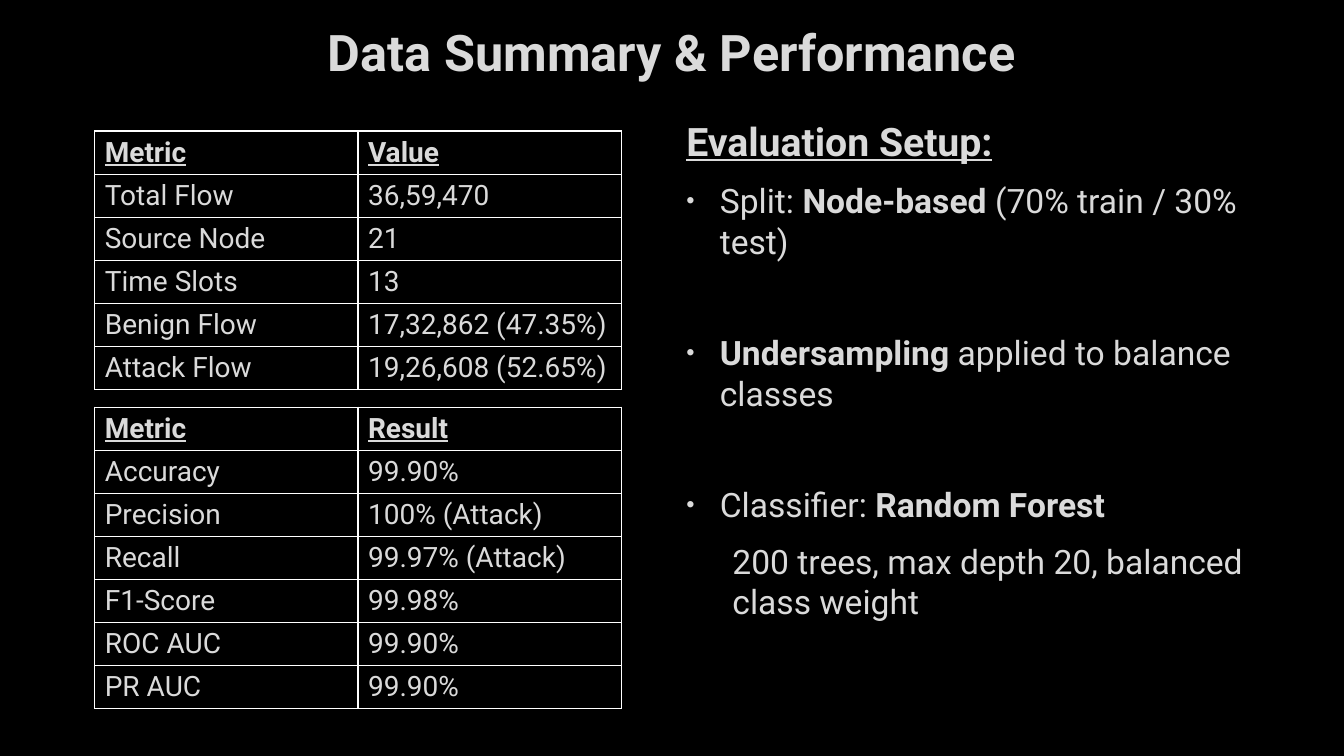
from dataclasses import dataclass
from lxml.etree import SubElement
from pptx import Presentation
from pptx.dml.color import RGBColor
from pptx.enum.text import MSO_ANCHOR, MSO_AUTO_SIZE, PP_ALIGN
from pptx.oxml.ns import qn
from pptx.util import Pt

COLORS = {"back": "000000", "text": "DADADA", "outline": "404040", "border": "FFFFFF"}
FONT = "Roboto"
ROW_HEIGHT = 30.7
COLUMN_WIDTH = 188


@dataclass
class MetricTable:
    top: float
    rows: list[tuple[str, str]]


@dataclass
class Item:
    runs: list[tuple[str, bool]]
    size: int = 24
    underline: bool = False
    bullet: bool = True
    level: int = 0
    margin: float = 27
    indent: float = -24
    before: float = 5.5


TABLES = [
    MetricTable(93.6, [
        ("Metric", "Value"),
        ("Total Flow", "36,59,470"),
        ("Source Node", "21"),
        ("Time Slots", "13"),
        ("Benign Flow", "17,32,862 (47.35%)"),
        ("Attack Flow", "19,26,608 (52.65%)"),
    ]),
    MetricTable(290.8, [
        ("Metric", "Result"),
        ("Accuracy", "99.90%"),
        ("Precision", "100% (Attack)"),
        ("Recall", "99.97% (Attack)"),
        ("F1-Score", "99.98%"),
        ("ROC AUC", "99.90%"),
        ("PR AUC", "99.90%"),
    ]),
]

ITEMS = [
    Item([("Evaluation Setup:", True)], size=28, underline=True, bullet=False, before=0),
    Item([("Split: ", False), ("Node-based", True), (" (70% train / 30% test)", False)]),
    Item([("Undersampling", True), (" applied to balance classes", False)], before=45),
    Item([("Classifier: ", False), ("Random Forest", True)], before=45),
    Item([("200 trees, max depth 20, balanced class weight", False)],
         bullet=False, level=1, margin=36, indent=0),
]


def add_line(parent, tag: str, width: float, color: str, alpha: int = 100):
    ln = SubElement(parent, qn(tag), w=str(Pt(width)))
    clr = SubElement(SubElement(ln, qn("a:solidFill")), qn("a:srgbClr"), val=COLORS[color])
    if alpha < 100:
        SubElement(clr, qn("a:alpha"), val=str(alpha * 1000))
    return ln


def add_text(p, text: str, *, size: float, bold: bool = False, underline: bool = False):
    r = p.add_run()
    r.text = text
    r.font.size = Pt(size)
    r.font.name = FONT
    r.font.bold = bold
    r.font.underline = underline
    r.font.color.rgb = RGBColor.from_string(COLORS["text"])
    rPr = r.font._element
    rPr.insert(0, add_line(rPr, "a:ln", 0.75, "outline", 10))


def place(sp, left: float, top: float, width: float, height: float, anchor: MSO_ANCHOR):
    sp.left, sp.top, sp.width, sp.height = Pt(left), Pt(top), Pt(width), Pt(height)
    tf = sp.text_frame
    tf.word_wrap = True
    tf.auto_size = MSO_AUTO_SIZE.NONE
    tf.vertical_anchor = anchor
    return tf


def add_item(p, item: Item):
    p.level = item.level
    p.space_before = Pt(item.before)
    p.space_after = Pt(6)
    pPr = p._p.get_or_add_pPr()
    pPr.set("marL", str(Pt(item.margin)))
    pPr.set("indent", str(Pt(item.indent)))
    if item.bullet:
        clr = SubElement(pPr, qn("a:buClr"))
        SubElement(clr, qn("a:srgbClr"), val=COLORS["text"])
        SubElement(pPr, qn("a:buSzPct"), val="70000")
        SubElement(pPr, qn("a:buFont"), typeface="Arial")
        SubElement(pPr, qn("a:buChar"), char="•")
    else:
        SubElement(pPr, qn("a:buNone"))
    for text, bold in item.runs:
        add_text(p, text, size=item.size, bold=bold, underline=item.underline)


def add_metric_table(s, metrics: MetricTable):
    n = len(metrics.rows)
    frame = s.shapes.add_table(n, 2, Pt(67.7), Pt(metrics.top),
                               Pt(2 * COLUMN_WIDTH), Pt(n * ROW_HEIGHT))
    table = frame.table
    table.first_row = False
    table.horz_banding = False
    for i, row in enumerate(metrics.rows):
        for j, text in enumerate(row):
            cell = table.cell(i, j)
            tcPr = cell._tc.get_or_add_tcPr()
            for side in "LRTB":
                add_line(tcPr, f"a:ln{side}", 1, "border")
            cell.fill.background()
            add_text(cell.text_frame.paragraphs[0], text, size=20, bold=i == 0, underline=i == 0)


def main():
    prs = Presentation()
    prs.slide_width, prs.slide_height = Pt(960), Pt(540)
    s = prs.slides.add_slide(prs.slide_layouts[1])
    s.background.fill.solid()
    s.background.fill.fore_color.rgb = RGBColor.from_string(COLORS["back"])

    tf = place(s.shapes.title, 84, 11, 792, 52, MSO_ANCHOR.MIDDLE)
    p = tf.paragraphs[0]
    p.alignment = PP_ALIGN.CENTER
    add_text(p, "Data Summary & Performance", size=36, bold=True)

    tf = place(s.placeholders[1], 480, 80, 432, 430, MSO_ANCHOR.TOP)
    for i, item in enumerate(ITEMS):
        add_item(tf.add_paragraph() if i else tf.paragraphs[0], item)

    for metrics in TABLES:
        add_metric_table(s, metrics)
    prs.save("out.pptx")


if __name__ == "__main__":
    main()
